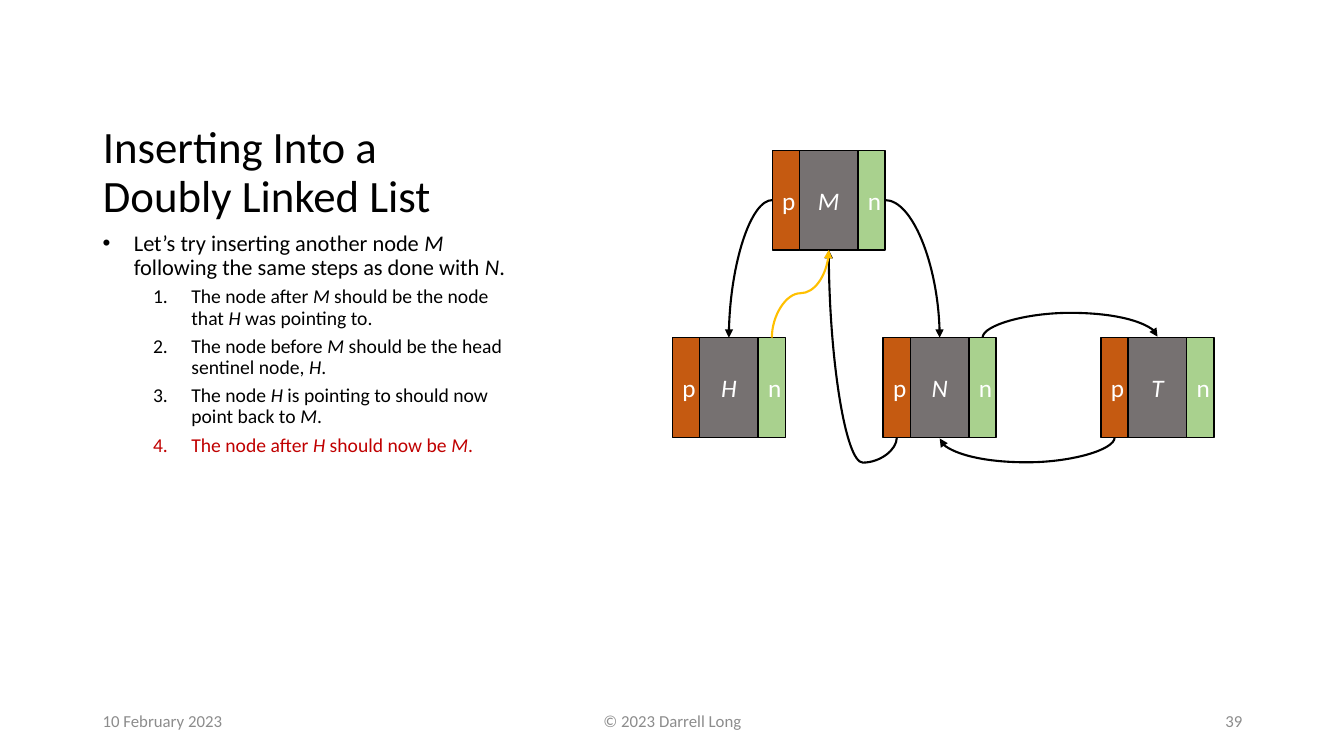
from dataclasses import dataclass

from lxml import etree
from pptx import Presentation
from pptx.dml.color import RGBColor
from pptx.enum.shapes import MSO_CONNECTOR, MSO_SHAPE
from pptx.enum.text import MSO_ANCHOR, PP_ALIGN
from pptx.oxml.ns import qn
from pptx.util import Inches, Pt

CURVE = MSO_CONNECTOR.CURVE
RECTANGLE = MSO_SHAPE.RECTANGLE
TOP, MIDDLE, BOTTOM = MSO_ANCHOR.TOP, MSO_ANCHOR.MIDDLE, MSO_ANCHOR.BOTTOM
LEFT, CENTER, RIGHT = PP_ALIGN.LEFT, PP_ALIGN.CENTER, PP_ALIGN.RIGHT

FONT = "Calibri"
BLACK = RGBColor(0x00, 0x00, 0x00)
WHITE = RGBColor(0xFF, 0xFF, 0xFF)
GRAY = RGBColor(0x8C, 0x8C, 0x8C)
RED = RGBColor(0xC0, 0x00, 0x00)
YELLOW = RGBColor(0xFF, 0xC0, 0x00)
PREVIOUS_FILL = RGBColor(0xC5, 0x5A, 0x11)
VALUE_FILL = RGBColor(0x76, 0x71, 0x71)
NEXT_FILL = RGBColor(0xA9, 0xD1, 0x8E)

# Connection sites of a rectangle, with their place as fractions of its size
SITE_TOP, SITE_LEFT, SITE_BOTTOM, SITE_RIGHT = range(4)
SITE_PLACES = {SITE_TOP: (0.5, 0), SITE_LEFT: (0, 0.5),
               SITE_BOTTOM: (0.5, 1), SITE_RIGHT: (1, 0.5)}

POINTER_WIDTH, VALUE_WIDTH, NODE_HEIGHT = 0.27, 0.58, 0.99
MARGIN, COLUMN_WIDTH = 0.92, 4.3


@dataclass(frozen=True)
class Node:
    name: str
    left: float
    top: float


@dataclass(frozen=True)
class Link:
    """A curved arrow; bulge is the vertical reach of its bend from the start."""
    start: str
    start_site: int
    end: str
    end_site: int
    bulge: float = 0
    color: RGBColor = BLACK


@dataclass(frozen=True)
class Footer:
    text: str
    left: float
    width: float
    align: PP_ALIGN


NODES = [Node("H", 6.67, 3.35), Node("T", 10.92, 3.35),
         Node("N", 8.76, 3.35), Node("M", 7.66, 1.49)]

# Ends are named by node and part: p (previous), v (value), n (next)
LINKS = [
    Link("T.p", SITE_BOTTOM, "N.v", SITE_BOTTOM, 0.25),
    Link("N.n", SITE_TOP, "T.v", SITE_TOP, -0.25),
    Link("N.p", SITE_BOTTOM, "M.v", SITE_BOTTOM, 0.25),
    Link("M.n", SITE_RIGHT, "N.v", SITE_TOP),
    Link("M.p", SITE_LEFT, "H.v", SITE_TOP),
    Link("H.n", SITE_TOP, "M.v", SITE_BOTTOM, -0.44, YELLOW),
]

INTRO = "Let’s try inserting another node *M* following the same steps as done with *N*."
STEPS = [
    ("The node after *M* should be the node that *H* was pointing to.", BLACK),
    ("The node before *M* should be the head sentinel node, *H*.", BLACK),
    ("The node *H* is pointing to should now point back to *M*.", BLACK),
    ("The node after *H* should now be *M*.", RED),
]

FOOTERS = [Footer("10 February 2023", 0.92, 3, LEFT),
           Footer("© 2023 Darrell Long", 4.42, 4.5, CENTER),
           Footer("39", 9.42, 3, RIGHT)]


def write(para, text: str, *, size: float, color: RGBColor = BLACK,
          align: PP_ALIGN = LEFT, spacing: float = 1, before: float = 0) -> None:
    """Fill a paragraph; words between asterisks are italic."""
    para.alignment = align
    para.line_spacing = spacing
    para.space_before = Pt(before)
    for index, piece in enumerate(text.split("*")):
        if piece:
            span = para.add_run()
            span.text = piece
            span.font.name = FONT
            span.font.size = Pt(size)
            span.font.italic = index % 2 == 1
            span.font.color.rgb = color


def add_bullet(para, tag: str, indent: float, hanging: float, **attributes: str) -> None:
    properties = para._p.get_or_add_pPr()
    properties.set("marL", str(Inches(indent)))
    properties.set("indent", str(-Inches(hanging)))
    if tag == "a:buChar":
        etree.SubElement(properties, qn("a:buFont"), typeface="Arial")
    etree.SubElement(properties, qn(tag), **attributes)


def add_box(page, left: float, top: float, width: float, height: float, anchor: MSO_ANCHOR):
    box = page.shapes.add_textbox(Inches(left), Inches(top), Inches(width), Inches(height))
    box.text_frame.word_wrap = True
    box.text_frame.vertical_anchor = anchor
    return box.text_frame


def add_node(page, node: Node) -> dict:
    """Draw a node as a group of three cells and return them by name."""
    group = page.shapes.add_group_shape()
    cells = {}
    left = node.left
    for part, label, width, fill in (("p", "p", POINTER_WIDTH, PREVIOUS_FILL),
                                     ("v", f"*{node.name}*", VALUE_WIDTH, VALUE_FILL),
                                     ("n", "n", POINTER_WIDTH, NEXT_FILL)):
        cell = group.shapes.add_shape(RECTANGLE, Inches(left), Inches(node.top),
                                      Inches(width), Inches(NODE_HEIGHT))
        cell.shadow.inherit = False
        cell.fill.solid()
        cell.fill.fore_color.rgb = fill
        cell.line.color.rgb = BLACK
        cell.line.width = Pt(1)
        cell.text_frame.vertical_anchor = MIDDLE
        write(cell.text_frame.paragraphs[0], label, size=18, color=WHITE, align=CENTER)
        cells[f"{node.name}.{part}"] = cell
        left += width
    return cells


def site_point(cell, site: int) -> tuple[int, int]:
    across, down = SITE_PLACES[site]
    return int(cell.left + across * cell.width), int(cell.top + down * cell.height)


def add_link(page, link: Link, cells: dict) -> None:
    start, end = cells[link.start], cells[link.end]
    x1, y1 = site_point(start, link.start_site)
    x2, y2 = site_point(end, link.end_site)
    connector = page.shapes.add_connector(CURVE, x1, y1, x2, y2)
    connector.begin_connect(start, link.start_site)
    connector.end_connect(end, link.end_site)
    geometry = connector._element.spPr.find(qn("a:prstGeom"))
    if link.bulge:
        # A curve that leaves vertically is a horizontal one turned by 90 degrees
        bulge = Inches(link.bulge)
        rise = y2 - y1 or Inches(0.01 if bulge > 0 else -0.01)
        middle_x, middle_y = (x1 + x2) // 2, y1 + rise // 2
        half_width, half_height = rise // 2, (x1 - x2) // 2
        connector.begin_x, connector.begin_y = middle_x - half_width, middle_y - half_height
        connector.end_x, connector.end_y = middle_x + half_width, middle_y + half_height
        connector._element.spPr.find(qn("a:xfrm")).set("rot", str(90 * 60000))
        guides = geometry.find(qn("a:avLst"))
        etree.SubElement(guides, qn("a:gd"), name="adj1",
                         fmla=f"val {round(bulge / rise * 100000)}")
    else:
        geometry.set("prst", "curvedConnector2")
    connector.line.color.rgb = link.color
    connector.line.width = Pt(1.5)
    etree.SubElement(connector.line._get_or_add_ln(), qn("a:tailEnd"), type="triangle")
    etree.SubElement(connector._element.spPr, qn("a:effectLst"))


def main() -> None:
    deck = Presentation()
    deck.slide_width, deck.slide_height = Inches(13.33), Inches(7.5)
    page = deck.slides.add_slide(deck.slide_layouts[5])

    # Title
    title = page.shapes.title
    title.left, title.top = Inches(MARGIN), Inches(0.5)
    title.width, title.height = Inches(COLUMN_WIDTH), Inches(1.75)
    title.text_frame.vertical_anchor = BOTTOM
    write(title.text_frame.paragraphs[0], "Inserting Into a Doubly Linked List",
          size=32, spacing=0.9)

    # Explanation and numbered steps
    frame = add_box(page, MARGIN, 2.25, COLUMN_WIDTH, 4.17, TOP)
    para = frame.paragraphs[0]
    add_bullet(para, "a:buChar", 0.31, 0.31, char="•")
    write(para, INTRO, size=16, spacing=0.9)
    for text, color in STEPS:
        para = frame.add_paragraph()
        para.level = 1
        add_bullet(para, "a:buAutoNum", 0.88, 0.38, type="arabicPeriod")
        write(para, text, size=14, color=color, spacing=0.9, before=5)

    # Footer line
    for footer in FOOTERS:
        frame = add_box(page, footer.left, 6.95, footer.width, 0.4, MIDDLE)
        write(frame.paragraphs[0], footer.text, size=12, color=GRAY, align=footer.align)

    # Linked list
    cells = {}
    for node in NODES:
        cells.update(add_node(page, node))
    for link in LINKS:
        add_link(page, link, cells)

    deck.save("out.pptx")


if __name__ == "__main__":
    main()
